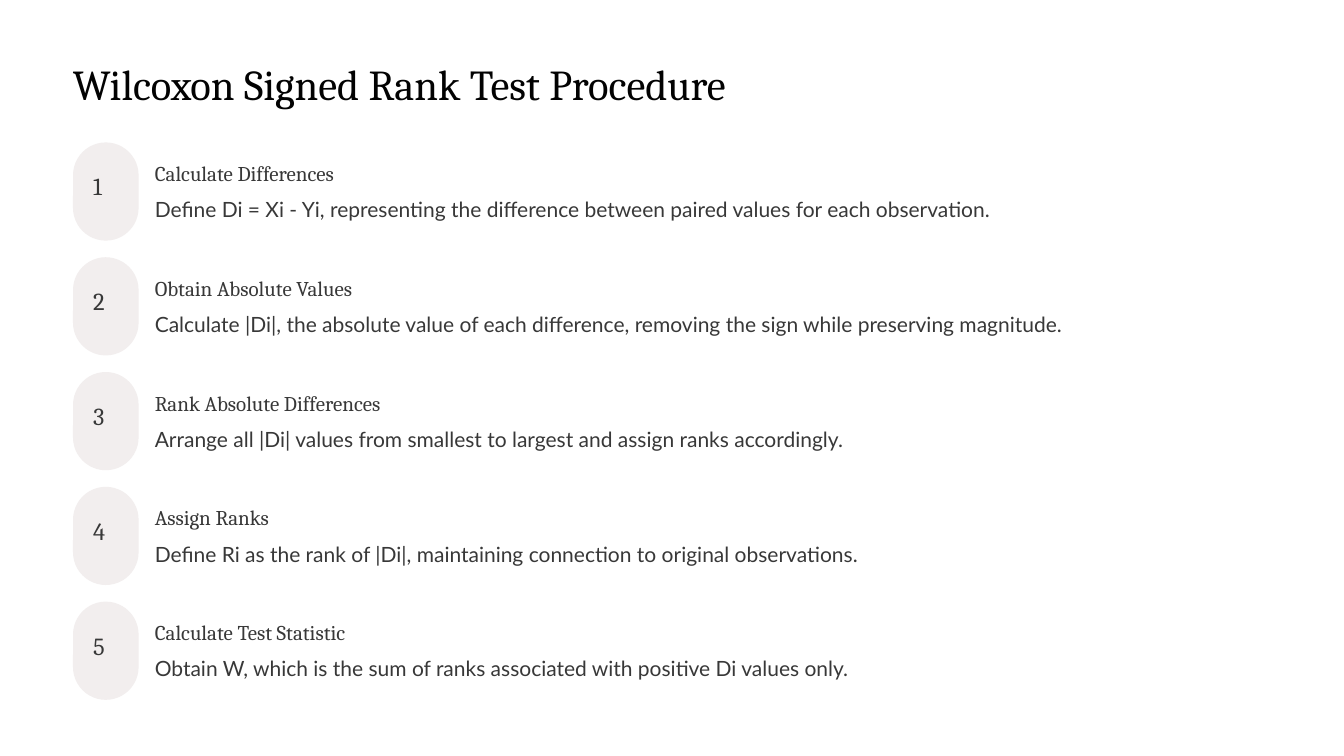
"""Build a slide with the five steps of the Wilcoxon signed rank test."""
from pptx import Presentation
from pptx import util as u
from pptx.dml import color
from pptx.enum import shapes, text

WHITE = color.RGBColor(0xFF, 0xFF, 0xFF)
BLACK = color.RGBColor(0x02, 0x02, 0x02)
GREY = color.RGBColor(0x38, 0x38, 0x38)
PILL = color.RGBColor(0xF2, 0xEE, 0xEE)

FORMATS = {
    "title": {"name": "Cambria", "size": u.Pt(36.5), "color": BLACK, "spacing": u.Pt(46)},
    "number": {"name": "Cambria", "size": u.Pt(21), "color": GREY, "spacing": u.Pt(21)},
    "heading": {"name": "Cambria", "size": u.Pt(18), "color": GREY, "spacing": u.Pt(23)},
    "body": {"name": "Lato", "size": u.Pt(18), "color": GREY, "spacing": u.Pt(22.5)},
}

STEPS = [
    ("Calculate Differences",
     "Define Di = Xi - Yi, representing the difference between paired values for each observation."),
    ("Obtain Absolute Values",
     "Calculate |Di|, the absolute value of each difference, removing the sign while preserving magnitude."),
    ("Rank Absolute Differences",
     "Arrange all |Di| values from smallest to largest and assign ranks accordingly."),
    ("Assign Ranks",
     "Define Ri as the rank of |Di|, maintaining connection to original observations."),
    ("Calculate Test Statistic",
     "Obtain W, which is the sum of ranks associated with positive Di values only."),
]
LEFT, TOP, PITCH = 62.6, 122.1, 98.4
TEXT_LEFT = 132.7


class Deck:
    """Hold the text formats and the current slide."""

    def __init__(self, s, formats):
        self.s = s
        self.formats = formats

    def background(self, rgb):
        fill = self.s.background.fill
        fill.solid()
        fill.fore_color.rgb = rgb

    def pill(self, x, y, w, h):
        sp = self.s.shapes.add_shape(shapes.MSO_SHAPE.ROUNDED_RECTANGLE,
                                     u.Pt(x), u.Pt(y), u.Pt(w), u.Pt(h))
        sp.adjustments[0] = 0.5
        sp.shadow.inherit = False
        sp.fill.solid()
        sp.fill.fore_color.rgb = PILL
        sp.line.fill.background()

    def label(self, words, style, x, y, w, h):
        sp = self.s.shapes.add_textbox(u.Pt(x), u.Pt(y), u.Pt(w), u.Pt(h))
        tf = sp.text_frame
        frame = {"margin_left": 0, "margin_top": 0, "margin_right": 0, "margin_bottom": 0,
                 "word_wrap": False, "vertical_anchor": text.MSO_ANCHOR.TOP}
        for key, value in frame.items():
            setattr(tf, key, value)
        fmt = self.formats[style]
        p = tf.paragraphs[0]
        p.line_spacing = fmt["spacing"]
        r = p.add_run()
        r.text = words
        for key in ("name", "size"):
            setattr(r.font, key, fmt[key])
        r.font.color.rgb = fmt["color"]

    def step(self, number, heading, body, y):
        self.pill(LEFT, y, 56.2, 84.2)
        self.label(str(number), "number", 79.9, y + 29.1, 21, 26.6)
        self.label(heading, "heading", TEXT_LEFT, y + 14.1, 216, 23)
        self.label(body, "body", TEXT_LEFT, y + 45.7, 956.9, 22.5)


def main():
    prs = Presentation()
    prs.slide_width, prs.slide_height = u.Pt(1152), u.Pt(648)
    deck = Deck(prs.slides.add_slide(prs.slide_layouts[6]), FORMATS)
    deck.background(WHITE)
    deck.label("Wilcoxon Signed Rank Test Procedure", "title", LEFT, 47.5, 619.2, 46)
    for i, (heading, body) in enumerate(STEPS):
        deck.step(i + 1, heading, body, TOP + i * PITCH)
    prs.save("out.pptx")


if __name__ == "__main__":
    main()
